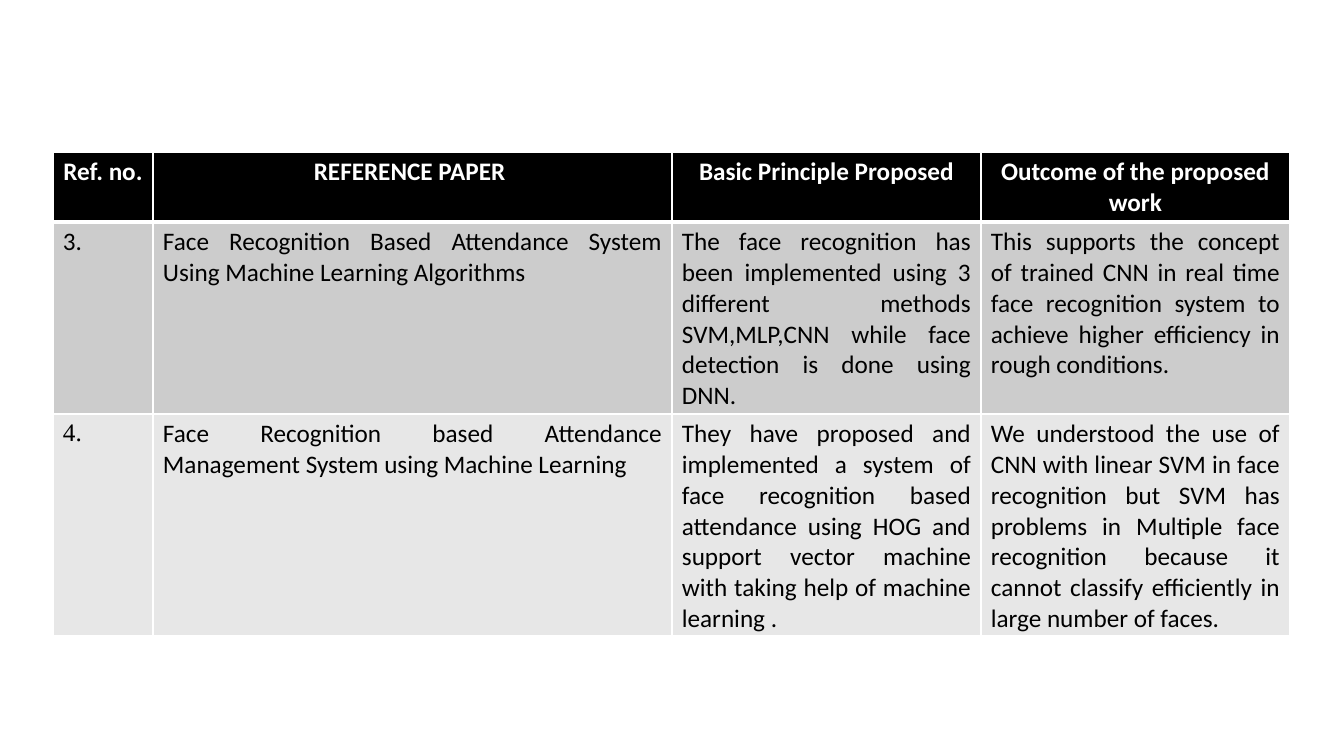
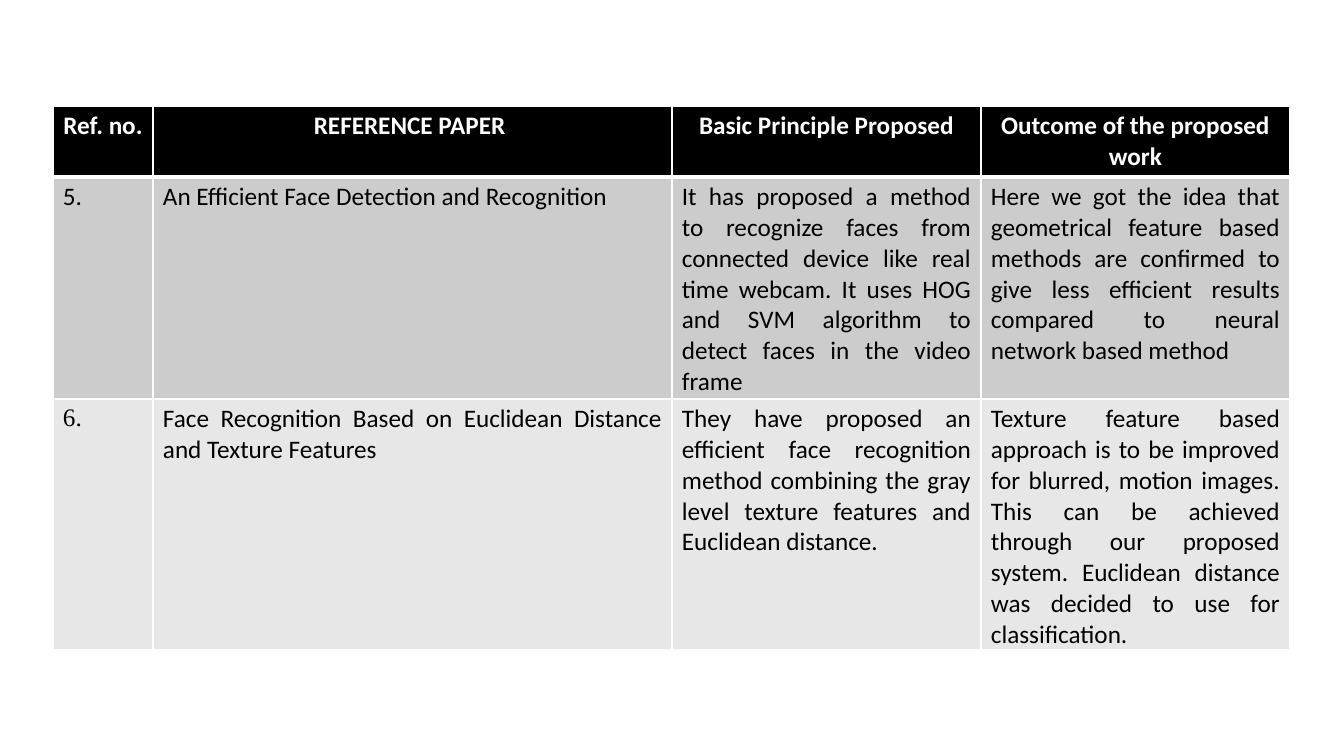
from dataclasses import dataclass

from lxml.etree import SubElement
from pptx import Presentation
from pptx.dml.color import RGBColor
from pptx.enum.text import PP_ALIGN
from pptx.oxml.ns import qn
from pptx.util import Emu, Pt

PX = 914400 / 100.8  # EMU per pixel


def px(n: int) -> Emu:
    return Emu(round(n * PX))


# Shared look
@dataclass(frozen=True)
class Theme:
    font: str = "Calibri"
    number_font: str = "Times New Roman"
    size: int = 18
    header_fill: str = "000000"
    header_text: str = "FFFFFF"
    body_fills: tuple[str, ...] = ("CCCCCC", "E7E7E7")
    body_text: str = "000000"
    border: str = "FFFFFF"
    thin: int = 1
    thick: int = 3


@dataclass(frozen=True)
class CellStyle:
    fill: str
    color: str
    align: PP_ALIGN
    bold: bool
    side: int
    top_line: int
    bottom_line: int


@dataclass(frozen=True)
class Paper:
    number: str
    title: str
    principle: str
    outcome: str
    number_font: str = Theme.font


@dataclass(frozen=True)
class PaperTable:
    top: int
    heights: tuple[int, ...]
    papers: tuple[Paper, ...]


THEME = Theme()
LEFT = 53
COLUMNS = (100, 519, 309, 309)
CELL_TOP = 5
HEADINGS = ("Ref. no.", "REFERENCE PAPER ", "Basic Principle Proposed",
            "Outcome of the proposed work")

# Content
TABLES = (
    PaperTable(152, (70, 192, 222), (
        Paper("3.",
              "Face Recognition Based Attendance System Using Machine Learning Algorithms",
              "The face recognition has been implemented using 3 different methods "
              "SVM,MLP,CNN while face detection is done using DNN.",
              "This supports the concept of trained CNN in real time face recognition "
              "system to achieve higher efficiency in rough conditions. "),
        Paper("4.",
              "Face Recognition based Attendance Management System using Machine Learning",
              "They have proposed and implemented a system of face recognition based "
              "attendance using HOG and support vector machine with taking help of "
              "machine learning .",
              "We understood the use of CNN with linear SVM in face recognition but SVM "
              "has problems in Multiple face recognition because it cannot classify "
              "efficiently in large number of faces.",
              THEME.number_font),
    )),
    PaperTable(106, (71, 222, 251), (
        Paper("5.",
              "An Efficient Face Detection and Recognition",
              "It has proposed a method to recognize faces from connected device like "
              "real time webcam. It uses HOG and SVM algorithm to detect faces in the "
              "video frame",
              "Here we got the idea that geometrical feature based methods are confirmed "
              "to give less efficient results compared to neural network based method"),
        Paper("6.",
              "Face Recognition Based on Euclidean Distance and Texture Features",
              "They have proposed an efficient face recognition method combining the "
              "gray level texture features and Euclidean distance.",
              "Texture feature based approach is to be improved for blurred, motion "
              "images. This can be achieved through our proposed system. Euclidean "
              "distance was decided to use for classification. ",
              THEME.number_font),
    )),
)


def row_style(row: int) -> CellStyle:
    if row == 0:
        return CellStyle(THEME.header_fill, THEME.header_text, PP_ALIGN.CENTER,
                         True, 8, THEME.thin, THEME.thick)
    return CellStyle(THEME.body_fills[(row - 1) % 2], THEME.body_text,
                     PP_ALIGN.JUSTIFY, False, 10,
                     THEME.thick if row == 1 else THEME.thin, THEME.thin)


def set_borders(cell, style: CellStyle) -> None:
    tc_pr = cell._tc.get_or_add_tcPr()
    widths = {"a:lnL": THEME.thin, "a:lnR": THEME.thin,
              "a:lnT": style.top_line, "a:lnB": style.bottom_line}
    for tag, width in widths.items():
        ln = SubElement(tc_pr, qn(tag), w=str(Pt(width)))
        fill = SubElement(ln, qn("a:solidFill"))
        SubElement(fill, qn("a:srgbClr"), val=THEME.border)


def fill_cell(cell, text: str, font: str, style: CellStyle) -> None:
    set_borders(cell, style)  # border lines come before the fill in the schema
    cell.fill.solid()
    cell.fill.fore_color.rgb = RGBColor.from_string(style.fill)
    cell.margin_left = cell.margin_right = px(style.side)
    cell.margin_top, cell.margin_bottom = px(CELL_TOP), 0
    p = cell.text_frame.paragraphs[0]
    p.alignment = style.align
    r = p.add_run()
    r.text = text
    r.font.name = font
    r.font.size = Pt(THEME.size)
    r.font.bold = style.bold
    r.font.color.rgb = RGBColor.from_string(style.color)


def draw_table(s, spec: PaperTable) -> None:
    table = s.shapes.add_table(
        len(spec.heights), len(COLUMNS), px(LEFT), px(spec.top),
        px(sum(COLUMNS)), px(sum(spec.heights))).table
    for column, width in zip(table.columns, COLUMNS):
        column.width = px(width)
    for row, height in zip(table.rows, spec.heights):
        row.height = px(height)
    rows = [(HEADINGS, THEME.font)]
    rows += [((q.number, q.title, q.principle, q.outcome), q.number_font)
             for q in spec.papers]
    for i, (texts, first_font) in enumerate(rows):
        for j, text in enumerate(texts):
            font = first_font if j == 0 else THEME.font
            fill_cell(table.cell(i, j), text, font, row_style(i))


# Slides
prs = Presentation()
prs.slide_width, prs.slide_height = px(1344), px(756)
for spec in TABLES:
    draw_table(prs.slides.add_slide(prs.slide_layouts[6]), spec)
prs.save("out.pptx")
